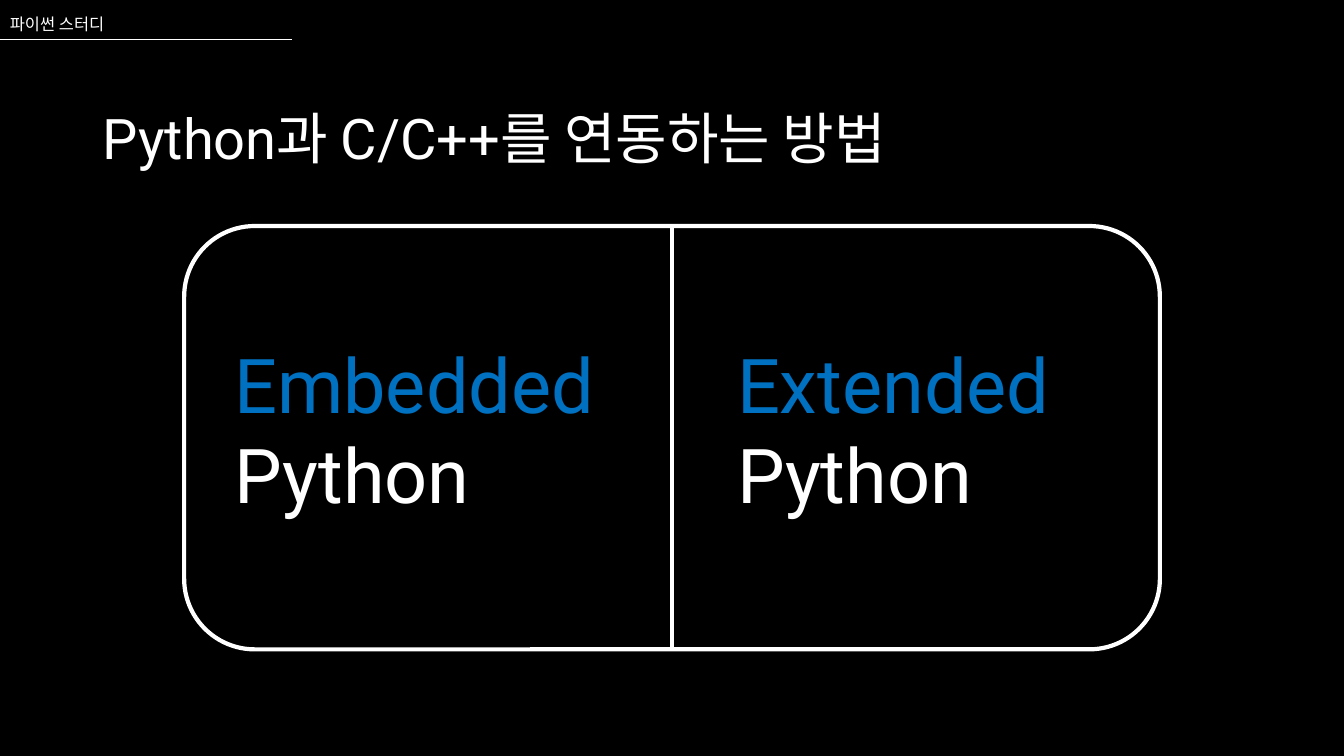
from lxml.etree import SubElement
from pptx import Presentation
from pptx.dml.color import RGBColor
from pptx.enum.shapes import MSO_CONNECTOR, MSO_SHAPE
from pptx.enum.text import MSO_ANCHOR
from pptx.oxml.ns import qn
from pptx.util import Inches, Pt

WHITE, BLACK, BLUE = "FFFFFF", "000000", "0070C0"
LATIN, KOREAN = "Roboto", "Noto Sans CJK KR"


def color(hex_code):
    return RGBColor.from_string(hex_code)


class Deck:
    """Slide and style; every length is a percentage of the slide's size."""

    def __init__(self, width, height):
        self.presentation = Presentation()
        self.presentation.slide_width = Inches(width)
        self.presentation.slide_height = Inches(height)
        self.slide = self.presentation.slides.add_slide(self.presentation.slide_layouts[6])
        fill = self.slide.background.fill
        fill.solid()
        fill.fore_color.rgb = color(BLACK)

    def x(self, share):
        return round(self.presentation.slide_width * share / 100)

    def y(self, share):
        return round(self.presentation.slide_height * share / 100)

    def box(self, left, top, width, height):
        return self.x(left), self.y(top), self.x(width), self.y(height)

    def stroke(self, line, weight):
        line.color.rgb = color(WHITE)
        line.width = Pt(weight)

    def text(self, area, runs, size, font=LATIN, anchor=MSO_ANCHOR.TOP, spacing=1.0, before=0):
        frame = self.slide.shapes.add_textbox(*self.box(*area)).text_frame
        frame.word_wrap = True
        frame.vertical_anchor = anchor
        paragraph = frame.paragraphs[0]
        paragraph.line_spacing = spacing
        paragraph.space_before = Pt(before)
        for words, shade in runs:
            run = paragraph.add_run()
            run.text = words
            run.font.size = Pt(size)
            run.font.name = font
            run.font.color.rgb = color(shade)
            SubElement(run.font._element, qn("a:ea")).set("typeface", KOREAN)

    def line(self, x1, y1, x2, y2, weight):
        rule = self.slide.shapes.add_connector(
            MSO_CONNECTOR.STRAIGHT, self.x(x1), self.y(y1), self.x(x2), self.y(y2))
        self.stroke(rule.line, weight)
        SubElement(rule._element.spPr, qn("a:effectLst"))

    def rounded_frame(self, area, weight):
        outline = self.slide.shapes.add_shape(MSO_SHAPE.ROUNDED_RECTANGLE, *self.box(*area))
        outline.shadow.inherit = False
        outline.fill.background()
        self.stroke(outline.line, weight)


deck = Deck(13.33, 7.5)

# Title
deck.text((6.9, 14, 86.25, 12), [("Python과 C/C++를 연동하는 방법", WHITE)],
          40, spacing=0.9, before=10)

# Two ways of linking, side by side in one frame
frame_left, frame_top, frame_height = 13.7, 29.9, 56
for method, left in (("Embedded", 16.7), ("Extended", 54.1)):
    deck.text((left, 44, 31.35, 25.6), [(method, BLUE), (" Python", WHITE)], 54)
deck.line(50, frame_top, 50, frame_top + frame_height, 3)
deck.rounded_frame((frame_left, frame_top, 100 - 2 * frame_left, frame_height), 3)

# Running header with its rule
deck.text((0, 1.5, 19.8, 3.7), [("파이썬 스터디", WHITE)], 11.7, KOREAN,
          MSO_ANCHOR.BOTTOM, spacing=0.9)
deck.line(0, 5.2, 21.7, 5.2, 0.5)

deck.presentation.save("out.pptx")
